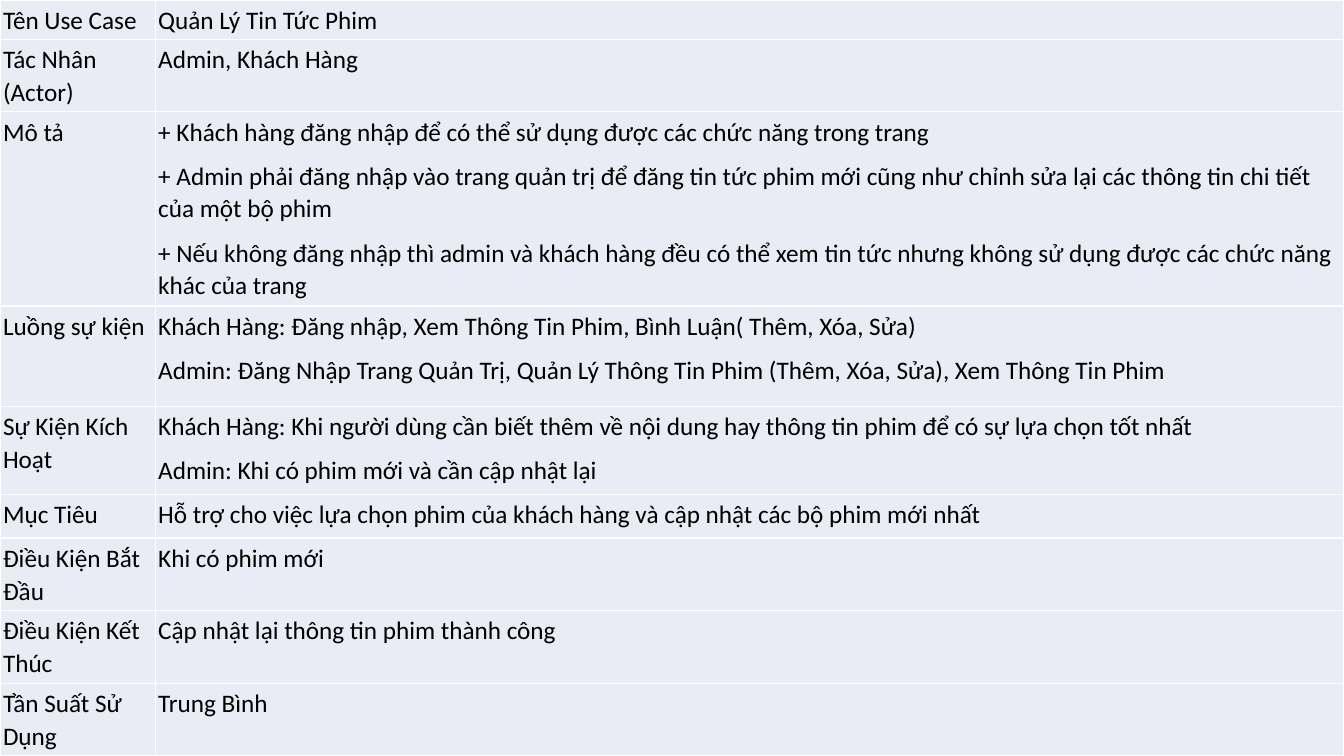
from dataclasses import dataclass

from lxml import etree
from pptx import Presentation, util as u
from pptx.dml.color import RGBColor
from pptx.oxml import ns
from pptx.table import Table, _Cell

WIDE, HIGH = u.Inches(13.33), u.Inches(7.5)
BLACK = RGBColor(0x00, 0x00, 0x00)
WHITE = RGBColor(0xFF, 0xFF, 0xFF)
PALE = RGBColor(0xE9, 0xEB, 0xF5)
FONT = "Calibri"
PAD = u.Inches(0.03)
LABEL = 0.1155  # label column's share of the slide width


@dataclass(frozen=True)
class Row:
    share: float  # percent of the slide height
    label: str
    lines: tuple[str, ...]


ROWS = (
    Row(5.2, "Tên Use Case", ("Quản Lý Tin Tức Phim",)),
    Row(9.6, "Tác Nhân (Actor)", ("Admin, Khách Hàng",)),
    Row(25.7, "Mô tả", (
        "+ Khách hàng đăng nhập để có thể sử dụng được các chức năng trong trang",
        "+ Admin phải đăng nhập vào trang quản trị để đăng tin tức phim mới "
        "cũng như chỉnh sửa lại các thông tin chi tiết của một bộ phim",
        "+ Nếu không đăng nhập thì admin và khách hàng đều có thể xem tin tức "
        "nhưng không sử dụng được các chức năng khác của trang",
    )),
    Row(13.3, "Luồng sự kiện", (
        "Khách Hàng: Đăng nhập, Xem Thông Tin Phim, Bình Luận( Thêm, Xóa, Sửa)",
        "Admin: Đăng Nhập Trang Quản Trị, Quản Lý Thông Tin Phim "
        "(Thêm, Xóa, Sửa), Xem Thông Tin Phim",
    )),
    Row(11.6, "Sự Kiện Kích Hoạt", (
        "Khách Hàng: Khi người dùng cần biết thêm về nội dung hay thông tin phim "
        "để có sự lựa chọn tốt nhất",
        "Admin: Khi có phim mới và cần cập nhật lại",
    )),
    Row(5.8, "Mục Tiêu", (
        "Hỗ trợ cho việc lựa chọn phim của khách hàng và cập nhật các bộ phim mới nhất",
    )),
    Row(9.6, "Điều Kiện Bắt Đầu", ("Khi có phim mới",)),
    Row(9.6, "Điều Kiện Kết Thúc", ("Cập nhật lại thông tin phim thành công",)),
    Row(9.6, "Tần Suất Sử Dụng", ("Trung Bình",)),
)


def add_edges(cell: _Cell) -> None:
    props = cell._tc.get_or_add_tcPr()
    for side in ("lnL", "lnR", "lnT", "lnB"):
        edge = etree.SubElement(props, ns.qn(f"a:{side}"), w=str(u.Pt(1)))
        fill = etree.SubElement(edge, ns.qn("a:solidFill"))
        etree.SubElement(fill, ns.qn("a:srgbClr"), val=str(WHITE))


def fill_cell(cell: _Cell, lines: tuple[str, ...]) -> None:
    add_edges(cell)
    cell.fill.solid()
    cell.fill.fore_color.rgb = PALE
    cell.margin_left = cell.margin_right = PAD
    cell.margin_top = cell.margin_bottom = PAD
    cell.text = "\n".join(lines)
    for para in cell.text_frame.paragraphs:
        para.line_spacing = 1.07
        para.space_after = u.Pt(8)
        para.font.name = FONT
        para.font.size = u.Pt(18)
        para.font.color.rgb = BLACK


def fill_table(table: Table) -> None:
    table.first_row = table.horz_banding = False
    for col, share in zip(table.columns, (LABEL, 1 - LABEL)):
        col.width = int(WIDE * share)
    for i, row in enumerate(ROWS):
        table.rows[i].height = int(HIGH * row.share / 100)
        fill_cell(table.cell(i, 0), (row.label,))
        fill_cell(table.cell(i, 1), row.lines)


def main() -> None:
    deck = Presentation()
    deck.slide_width, deck.slide_height = WIDE, HIGH
    slide = deck.slides.add_slide(deck.slide_layouts[6])
    frame = slide.shapes.add_table(len(ROWS), 2, 0, 0, WIDE, HIGH)
    fill_table(frame.table)
    deck.save("out.pptx")


if __name__ == "__main__":
    main()
